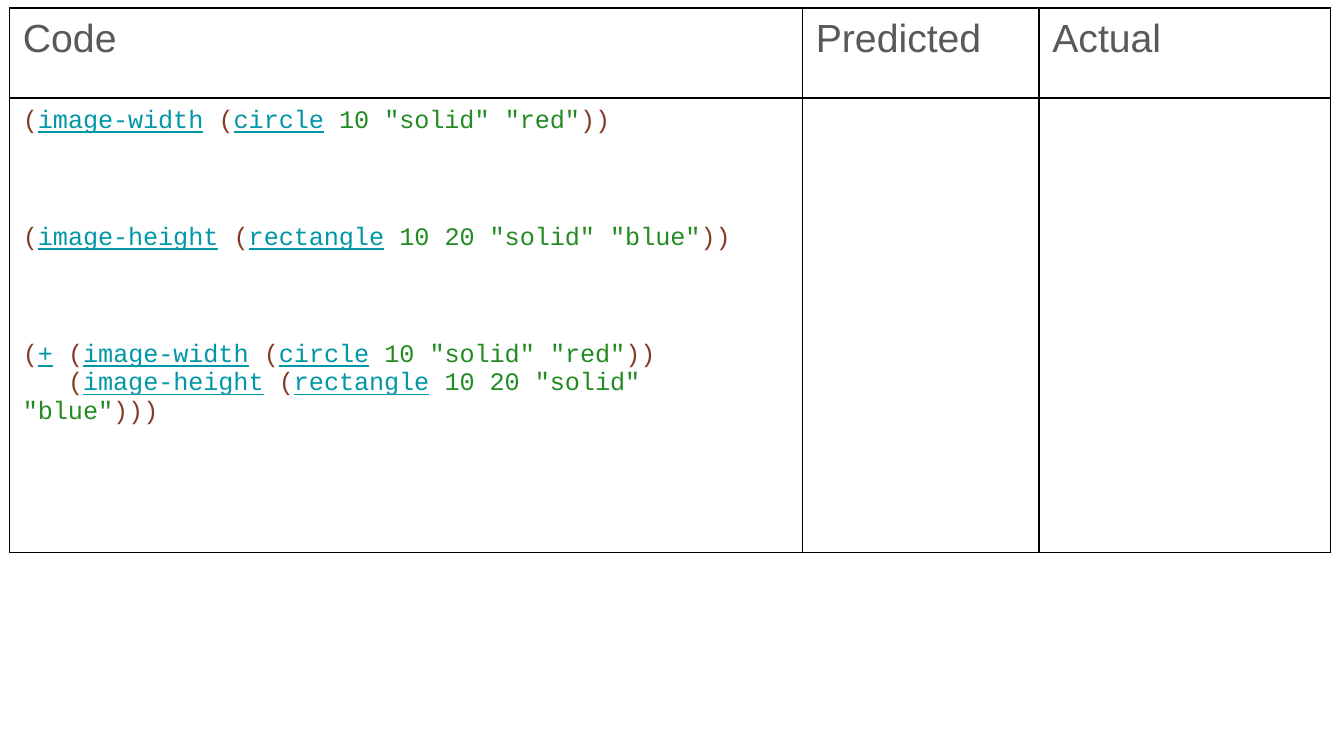
from dataclasses import dataclass
from itertools import groupby

from lxml.etree import SubElement
from pptx import Presentation
from pptx.dml.color import RGBColor as Color
from pptx.oxml.ns import qn
from pptx.util import Inches, Pt


@dataclass(frozen=True)
class Theme:
    heading_font: str = "Arial"
    code_font: str = "Courier New"
    heading_size: float = 21
    code_size: float = 13.5
    border_width: float = 0.75
    border: str = "000000"
    heading: str = "595959"
    bracket: str = "843C24"
    function: str = "0097A7"
    literal: str = "228B22"
    space: str = "000000"


@dataclass(frozen=True)
class Column:
    title: str
    width: float


@dataclass(frozen=True)
class CodeLine:
    text: str
    space_before: float = 0


THEME = Theme()
GAP = 47.4
COLUMNS = [Column("Code", 5.9), Column("Predicted", 1.76), Column("Actual", 2.17)]
ROW_HEIGHTS = [0.67, 3.38]
CODE = [
    CodeLine('(image-width (circle 10 "solid" "red"))'),
    CodeLine('(image-height (rectangle 10 20 "solid" "blue"))', GAP),
    CodeLine('(+ (image-width (circle 10 "solid" "red"))', GAP),
    CodeLine('   (image-height (rectangle 10 20 "solid" "blue")))'),
]


def add_span(para, text: str, font: str, size: float, color: str) -> None:
    span = para.add_run()
    span.text = text
    span.font.name = font
    span.font.size = Pt(size)
    span.font.bold = False
    span.font.underline = color == THEME.function
    span.font.color.rgb = Color.from_string(color)


def char_class(char: str) -> str:
    if char == " ":
        return "space"
    return "bracket" if char in "()" else "word"


def token_color(kind: str, text: str) -> str:
    if kind == "word":
        kind = "literal" if text[0] == '"' or text.isdigit() else "function"
    return getattr(THEME, kind)


def add_code_line(para, line: CodeLine) -> None:
    para.space_before = Pt(line.space_before)
    for kind, chars in groupby(line.text, char_class):
        text = "".join(chars)
        add_span(para, text, THEME.code_font, THEME.code_size, token_color(kind, text))


def style_cell(cell) -> None:
    cell.margin_left = cell.margin_right = Inches(0.1)
    cell.margin_top = cell.margin_bottom = Inches(0.07)
    properties = cell._tc.get_or_add_tcPr()
    for side in ("lnL", "lnR", "lnT", "lnB"):
        line = SubElement(properties, qn(f"a:{side}"), w=str(Pt(THEME.border_width)))
        fill = SubElement(line, qn("a:solidFill"))
        SubElement(fill, qn("a:srgbClr"), val=THEME.border)
    cell.fill.background()


def add_code_table(page) -> None:
    width = sum(column.width for column in COLUMNS)
    frame = page.shapes.add_table(
        len(ROW_HEIGHTS), len(COLUMNS),
        Inches(0.07), Inches(0.06), Inches(width), Inches(sum(ROW_HEIGHTS)),
    )
    table = frame.table
    table.first_row = table.horz_banding = False
    for row, height in zip(table.rows, ROW_HEIGHTS):
        row.height = Inches(height)
    for cell in table.iter_cells():
        style_cell(cell)

    # Heading row
    for index, column in enumerate(COLUMNS):
        table.columns[index].width = Inches(column.width)
        para = table.cell(0, index).text_frame.paragraphs[0]
        para.space_after = Pt(12)
        add_span(para, column.title, THEME.heading_font, THEME.heading_size, THEME.heading)

    # Code examples
    box = table.cell(1, 0).text_frame
    for index, line in enumerate(CODE):
        para = box.add_paragraph() if index else box.paragraphs[0]
        add_code_line(para, line)


def main() -> None:
    deck = Presentation()
    # Widescreen page, 16:9
    deck.slide_width = Inches(10)
    deck.slide_height = Inches(10 * 9 / 16)
    page = deck.slides.add_slide(deck.slide_layouts[6])
    add_code_table(page)
    deck.save("out.pptx")


if __name__ == "__main__":
    main()
